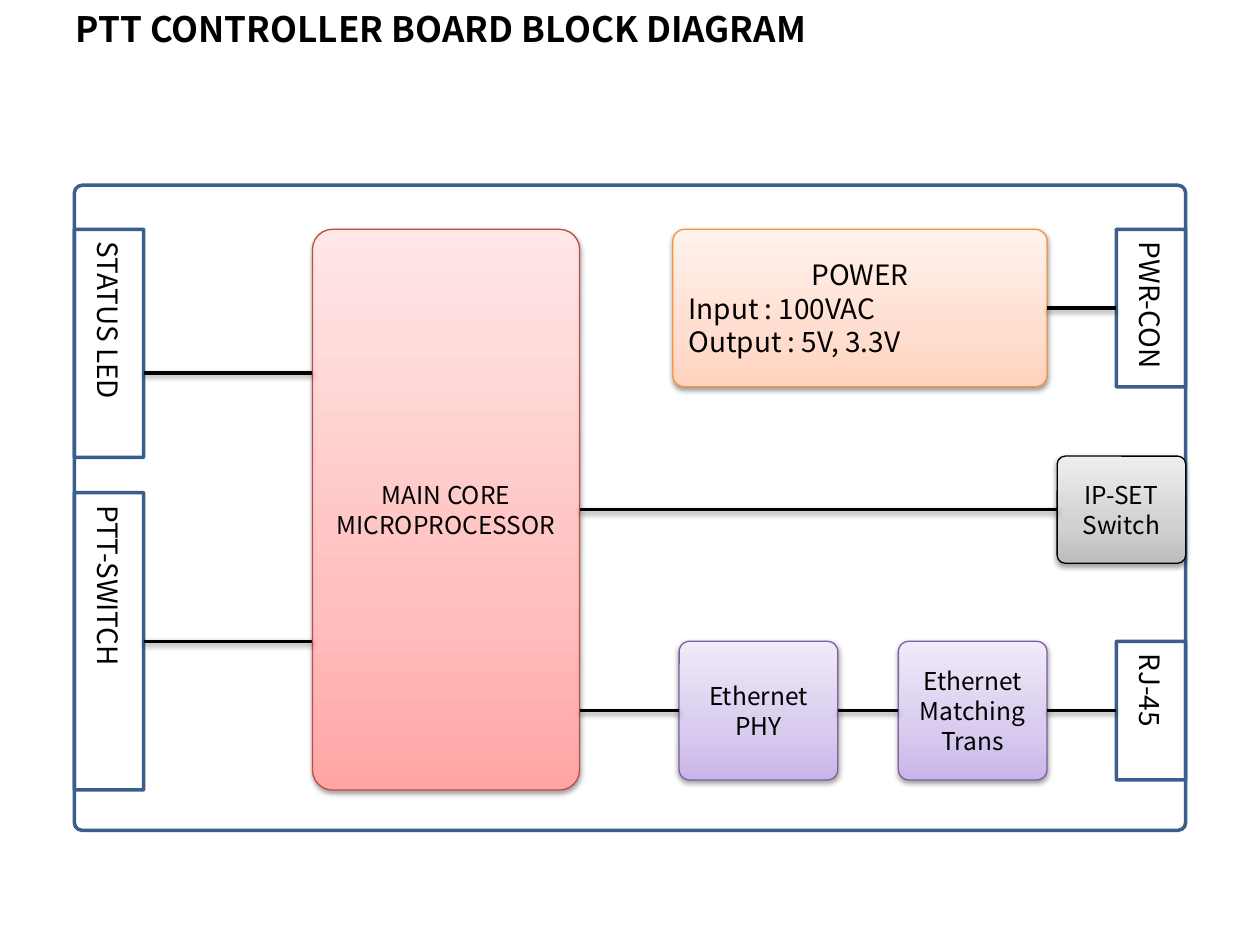
import pptx
import pptx.util
from lxml import etree
from pptx.dml.color import RGBColor
from pptx.enum.shapes import MSO_CONNECTOR, MSO_SHAPE
from pptx.enum.text import MSO_ANCHOR, PP_ALIGN
from pptx.oxml.ns import qn

FONT = "Noto Sans CJK KR"
BLACK = RGBColor(0x00, 0x00, 0x00)
BOARD_BLUE = RGBColor(0x3A, 0x5F, 0x8C)
RED = RGBColor(0xBF, 0x4C, 0x48)
ORANGE = RGBColor(0xF6, 0x92, 0x40)
PURPLE = RGBColor(0x7D, 0x60, 0xA0)

# Gradient colours from the bottom of a block to its top
STOPS = (0, 35, 100)
RED_SHADES = (RGBColor(0xFF, 0xA6, 0xA5), RGBColor(0xFF, 0xC0, 0xBF), RGBColor(0xFF, 0xE7, 0xE7))
ORANGE_SHADES = (RGBColor(0xFF, 0xD2, 0xBD), RGBColor(0xFF, 0xDE, 0xD0), RGBColor(0xFF, 0xF2, 0xED))
PURPLE_SHADES = (RGBColor(0xC9, 0xB5, 0xE8), RGBColor(0xD8, 0xCB, 0xEE), RGBColor(0xF0, 0xEA, 0xF9))
GREY_SHADES = (RGBColor(0xBD, 0xBD, 0xBD), RGBColor(0xD1, 0xD1, 0xD1), RGBColor(0xEE, 0xEE, 0xEE))

# Grid in inches: columns as (left, right), rows as (top, bottom)
SLIDE_W, SLIDE_H = 10, 7.5
BOARD = (0.59, 9.41)
PORT_W = 0.55
LEFT_PORTS = (BOARD[0], BOARD[0] + PORT_W)
RIGHT_PORTS = (BOARD[1] - PORT_W, BOARD[1])
MCU = (2.48, 4.6)
POWER = (5.34, 8.31)
PHY = (5.39, 6.65)
TRANS = (7.13, POWER[1])
IP_SET = (8.39, BOARD[1])

BOARD_ROW = (1.47, 6.59)
MCU_ROW = (1.82, 6.27)
POWER_ROW = (MCU_ROW[0], 3.07)
LED_ROW = (MCU_ROW[0], 3.63)
PTT_ROW = (3.91, MCU_ROW[1])
IP_SET_ROW = (3.62, 4.47)
ETHERNET_ROW = (5.09, 6.19)

LEFT, RIGHT = 1, 3  # connection sites


def inches(*lengths):
    return [pptx.util.Inches(length) for length in lengths]


def add_effects(element, shadow):
    effects = etree.SubElement(element.spPr, qn("a:effectLst"))
    if shadow:
        outer = etree.SubElement(effects, qn("a:outerShdw"), blurRad="40000",
                                 dist="20000", dir="5400000", rotWithShape="0")
        colour = etree.SubElement(outer, qn("a:srgbClr"), val=str(BLACK))
        etree.SubElement(colour, qn("a:alpha"), val="38000")


def set_gradient(shape, shades):
    shape.fill.background()
    no_fill = shape._element.spPr.find(qn("a:noFill"))
    gradient = etree.Element(qn("a:gradFill"), rotWithShape="1")
    stops = etree.SubElement(gradient, qn("a:gsLst"))
    for position, shade in zip(STOPS, shades):
        stop = etree.SubElement(stops, qn("a:gs"), pos=str(position * 1000))
        etree.SubElement(stop, qn("a:srgbClr"), val=str(shade))
    etree.SubElement(gradient, qn("a:lin"), ang="16200000", scaled="0")
    no_fill.getparent().replace(no_fill, gradient)


def write(frame, lines, size, alignments, bold=False):
    frame.word_wrap = True
    for number, (line, alignment) in enumerate(zip(lines, alignments)):
        paragraph = frame.add_paragraph() if number else frame.paragraphs[0]
        paragraph.text = line
        paragraph.alignment = alignment
        paragraph.line_spacing = pptx.util.Pt(round(size * 1.2))
        paragraph.font.name = FONT
        paragraph.font.size = pptx.util.Pt(size)
        paragraph.font.bold = bold
        paragraph.font.color.rgb = BLACK


def add_rounded(slide, column, row, corner, line_colour, line_width):
    shape = slide.shapes.add_shape(
        MSO_SHAPE.ROUNDED_RECTANGLE,
        *inches(column[0], row[0], column[1] - column[0], row[1] - row[0]))
    shape.adjustments[0] = corner
    shape.line.color.rgb = line_colour
    shape.line.width = pptx.util.Pt(line_width)
    shape.text_frame.vertical_anchor = MSO_ANCHOR.MIDDLE
    return shape


def add_outline(slide, column, row):
    outline = add_rounded(slide, column, row, 0.012, BOARD_BLUE, 2)
    outline.fill.background()
    outline.shadow.inherit = False
    return outline


def add_port(slide, column, row, label):
    port = add_outline(slide, column, row)
    write(port.text_frame, [label], 16, [PP_ALIGN.CENTER])
    port.text_frame._txBody.bodyPr.set("vert", "eaVert")
    return port


def add_block(slide, column, row, lines, shades, line_colour, size=14, alignments=None):
    block = add_rounded(slide, column, row, 0.075, line_colour, 0.75)
    set_gradient(block, shades)
    add_effects(block._element, shadow=True)
    write(block.text_frame, lines, size, alignments or [PP_ALIGN.CENTER] * len(lines))
    return block


def add_wire(slide, start_x, end_x, y, start=None, end=None):
    wire = slide.shapes.add_connector(MSO_CONNECTOR.STRAIGHT, *inches(start_x, y, end_x, y))
    if start is not None:
        wire.begin_connect(start, RIGHT)
    if end is not None:
        wire.end_connect(end, LEFT)
    wire.line.color.rgb = BLACK
    wire.line.width = pptx.util.Pt(2)
    add_effects(wire._element, shadow=True)


def middle(row):
    return sum(row) / 2


def add_title(slide, text):
    title = slide.shapes.add_textbox(*inches(0, 0.01, SLIDE_W, 0.44))
    title.text_frame.margin_left = pptx.util.Inches(0.6)
    write(title.text_frame, [text], 20, [PP_ALIGN.LEFT], bold=True)


def main():
    deck = pptx.Presentation()
    deck.slide_width, deck.slide_height = inches(SLIDE_W, SLIDE_H)
    slide = deck.slides.add_slide(deck.slide_layouts[6])

    # Title and board edge
    add_title(slide, "PTT CONTROLLER BOARD BLOCK DIAGRAM")
    add_outline(slide, BOARD, BOARD_ROW)

    # Functional blocks
    mcu = add_block(slide, MCU, MCU_ROW, ["MAIN CORE", "MICROPROCESSOR"], RED_SHADES, RED)
    power = add_block(slide, POWER, POWER_ROW, ["POWER", "Input : 100VAC", "Output : 5V, 3.3V"],
                      ORANGE_SHADES, ORANGE, 16,
                      [PP_ALIGN.CENTER, PP_ALIGN.LEFT, PP_ALIGN.LEFT])
    trans = add_block(slide, TRANS, ETHERNET_ROW, ["Ethernet", "Matching", "Trans"],
                      PURPLE_SHADES, PURPLE)
    phy = add_block(slide, PHY, ETHERNET_ROW, ["Ethernet", "PHY"], PURPLE_SHADES, PURPLE)
    ip_set = add_block(slide, IP_SET, IP_SET_ROW, ["IP-SET", "Switch"], GREY_SHADES, BLACK)

    # Ports on the board edge
    ptt_switch = add_port(slide, LEFT_PORTS, PTT_ROW, "PTT-SWITCH")
    add_port(slide, LEFT_PORTS, LED_ROW, "STATUS LED")
    rj45 = add_port(slide, RIGHT_PORTS, ETHERNET_ROW, "RJ-45")
    power_port = add_port(slide, RIGHT_PORTS, POWER_ROW, "PWR-CON")

    # Wires, from left to right
    ethernet_y = middle(ETHERNET_ROW)
    add_wire(slide, LEFT_PORTS[1], MCU[0], 2.96)
    add_wire(slide, LEFT_PORTS[1], MCU[0], middle(PTT_ROW), ptt_switch)
    add_wire(slide, MCU[1], IP_SET[0], middle(IP_SET_ROW), mcu, ip_set)
    add_wire(slide, MCU[1], PHY[0], ethernet_y, end=phy)
    add_wire(slide, PHY[1], TRANS[0], ethernet_y, phy, trans)
    add_wire(slide, TRANS[1], RIGHT_PORTS[0], ethernet_y, trans, rj45)
    add_wire(slide, POWER[1], RIGHT_PORTS[0], middle(POWER_ROW), power, power_port)

    deck.save("out.pptx")


if __name__ == "__main__":
    main()
